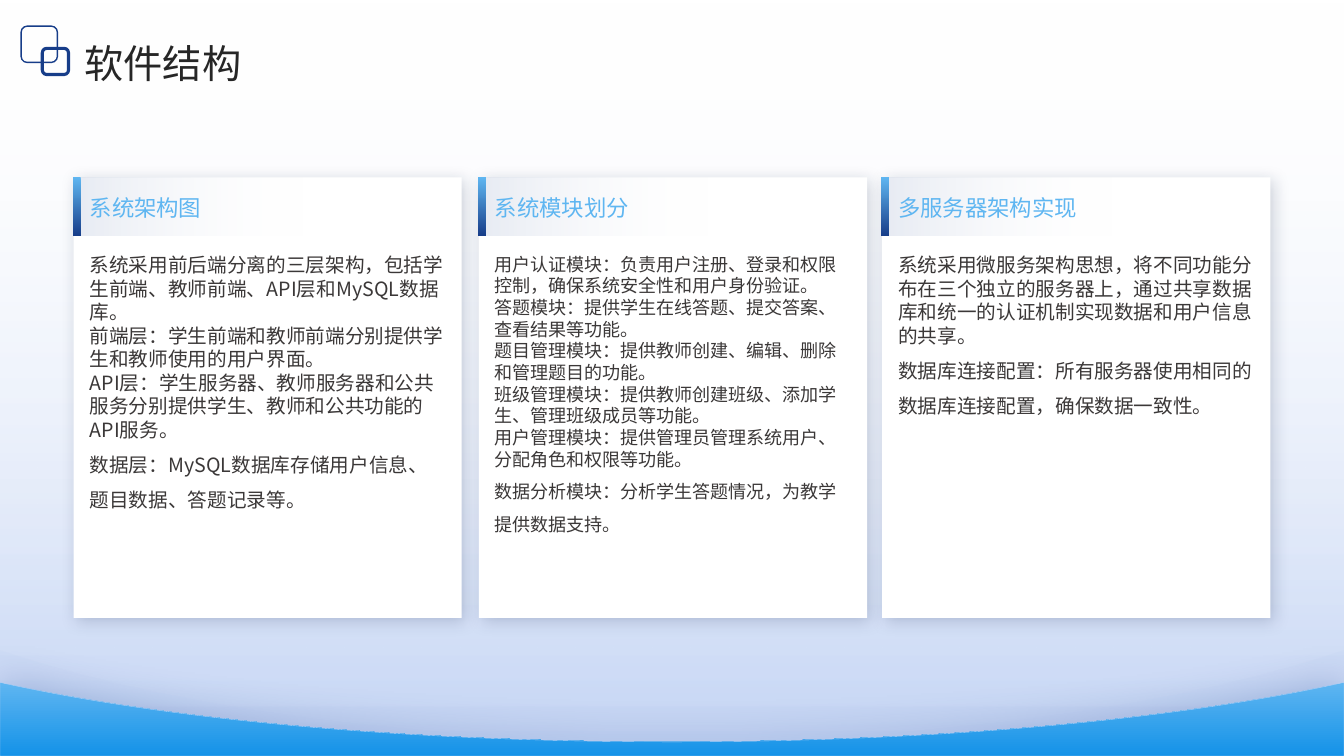
from pptx import Presentation
from pptx.dml.color import RGBColor
from pptx.enum.shapes import MSO_SHAPE
from pptx.enum.text import MSO_ANCHOR
from pptx.oxml.ns import qn
from pptx.util import Inches, Pt
from lxml import etree

RECT, ROUND = MSO_SHAPE.RECTANGLE, MSO_SHAPE.ROUNDED_RECTANGLE
TOP, MIDDLE = MSO_ANCHOR.TOP, MSO_ANCHOR.MIDDLE
FONT = "Noto Sans CJK SC"
WHITE = RGBColor(0xFF, 0xFF, 0xFF)
PALE = RGBColor(0xC3, 0xD4, 0xF5)
SKY = RGBColor(0x5F, 0xB6, 0xF1)
AZURE = RGBColor(0x14, 0x92, 0xE8)
NAVY = RGBColor(0x17, 0x3D, 0x89)
SHADE = RGBColor(0x0C, 0x1E, 0x44)
GREY = RGBColor(0x3B, 0x38, 0x38)
INK = RGBColor(0x26, 0x26, 0x26)

# Content
TITLE = "软件结构"
CARDS = [  # left, heading, text size, lines
    (0.72, "系统架构图", 14, [
        "系统采用前后端分离的三层架构，包括学生前端、教师前端、API层和MySQL数据库。",
        "前端层：学生前端和教师前端分别提供学生和教师使用的用户界面。",
        "API层：学生服务器、教师服务器和公共服务分别提供学生、教师和公共功能的API服务。",
        "数据层：MySQL数据库存储用户信息、题目数据、答题记录等。"]),
    (4.74, "系统模块划分", 12.9, [
        "用户认证模块：负责用户注册、登录和权限控制，确保系统安全性和用户身份验证。",
        "答题模块：提供学生在线答题、提交答案、查看结果等功能。",
        "题目管理模块：提供教师创建、编辑、删除和管理题目的功能。",
        "班级管理模块：提供教师创建班级、添加学生、管理班级成员等功能。",
        "用户管理模块：提供管理员管理系统用户、分配角色和权限等功能。",
        "数据分析模块：分析学生答题情况，为教学提供数据支持。"]),
    (8.74, "多服务器架构实现", 14, [
        "系统采用微服务架构思想，将不同功能分布在三个独立的服务器上，通过共享数据库和统一的认证机制实现数据和用户信息的共享。",
        "数据库连接配置：所有服务器使用相同的数据库连接配置，确保数据一致性。"]),
]
WIDE, HIGH = 13.33, 7.5
CARD_TOP, HEAD = 1.76, 0.58
ICON = [(0.21, 0.26, 0.36, 1), (0.42, 0.48, 0.26, 2.25)]  # left, top, side, line

prs = Presentation()
prs.slide_width, prs.slide_height = Inches(WIDE), Inches(HIGH)
slide = prs.slides.add_slide(prs.slide_layouts[6])
shapes = slide.shapes


def paint(shape, stops, angle=90):
    """Fill with (colour, opacity) stops: one is solid, two a clockwise gradient."""
    fill = shape.fill
    if len(stops) == 1:
        fill.solid()
        fill.fore_color.rgb = stops[0][0]
    else:
        fill.gradient()
        fill.gradient_angle = 360 - angle
        for stop, (color, _) in zip(fill.gradient_stops, stops):
            stop.color.rgb = color
    marks = list(shape.element.spPr.iter(qn("a:srgbClr")))
    for mark, (_, alpha) in zip(marks, stops):
        if alpha < 100:
            etree.SubElement(mark, qn("a:alpha"), val=str(alpha * 1000))
    shape.line.fill.background()
    shape.shadow.inherit = False


def shade(shape, color, alpha, blur, dist, angle):
    effects = shape.element.spPr.find(qn("a:effectLst"))
    outer = etree.SubElement(
        effects, qn("a:outerShdw"), blurRad=str(Pt(blur)), dist=str(Pt(dist)),
        dir=str(angle * 60000), algn="ctr", rotWithShape="0")
    mark = etree.SubElement(outer, qn("a:srgbClr"), val=str(color))
    etree.SubElement(mark, qn("a:alpha"), val=str(alpha * 1000))


def block(x, y, w, h, stops, angle=90):
    shape = shapes.add_shape(RECT, Inches(x), Inches(y), Inches(w), Inches(h))
    paint(shape, stops, angle)
    return shape


def wave(edge, ctrl, low, stops):
    """Band along the foot; two mirrored curves form its upper side."""
    half = [(0, edge), (1.66, ctrl), (4.03, low), (WIDE / 2, low)]
    points = half + [(WIDE - x, y) for x, y in half[-2::-1]]
    points += [(WIDE, HIGH), (0, HIGH)]
    points = [(Inches(x), Inches(y)) for x, y in points]
    form = shapes.build_freeform(*points[0])
    form.add_line_segments(points[1:], close=True)
    shape = form.convert_to_shape()
    # Join each three segments of the upper side into one curve
    lines = list(shape.element.spPr.iter(qn("a:lnTo")))
    for first, *rest in (lines[:3], lines[3:6]):
        first.tag = qn("a:cubicBezTo")
        for line in rest:
            first.append(line[0])
            line.getparent().remove(line)
    paint(shape, stops)
    return shape


def write(x, y, w, h, text, size, color, spacing, anchor=TOP):
    frame = shapes.add_textbox(Inches(x), Inches(y), Inches(w), Inches(h)).text_frame
    frame.word_wrap = True
    frame.vertical_anchor = anchor
    frame.margin_left = frame.margin_right = frame.margin_top = frame.margin_bottom = 0
    para = frame.paragraphs[0]
    para.line_spacing = spacing
    run = para.add_run()
    run.text = text
    font = run.font
    font.size, font.name, font.color.rgb = Pt(size), FONT, color
    props = run._r.get_or_add_rPr()
    etree.SubElement(props, qn("a:ea"), typeface=FONT)


# Backdrop and waves
block(0, 0, WIDE, HIGH, [(WHITE, 0), (PALE, 100)])
wave(6.45, 7.01, 7.35, [(PALE, 18)])
front = wave(6.77, 7.14, 7.36, [(SKY, 100), (AZURE, 100)])
front.line.color.rgb = PALE
front.line.width = Pt(0.25)
shade(front, NAVY, 26, 29, 3, 270)

# Cards
for x, head, size, lines in CARDS:
    card = block(x + 0.01, CARD_TOP, 3.85, 4.37, [(WHITE, 100)])
    shade(card, SHADE, 19, 12, 3, 45)
    block(x + 0.01, CARD_TOP, 2.4, HEAD, [(WHITE, 0), (NAVY, 11)], 180)
    block(x, CARD_TOP, 0.08, HEAD, [(SKY, 100), (NAVY, 100)])
    write(x + 0.17, CARD_TOP, 3.53, HEAD, head, 16, SKY, 1.1, MIDDLE)
    write(x + 0.17, 2.51, 3.53, 3.4, "\n".join(lines), size, GREY, 1.5)

# Title and its icon
write(0.84, 0.25, 11.35, 0.59, TITLE, 28, INK, 1.3)
for x, y, side, width in ICON:
    box = shapes.add_shape(ROUND, Inches(x), Inches(y), Inches(side), Inches(side))
    box.fill.background()
    box.line.color.rgb = NAVY
    box.line.width = Pt(width)
    box.shadow.inherit = False

prs.save("out.pptx")
